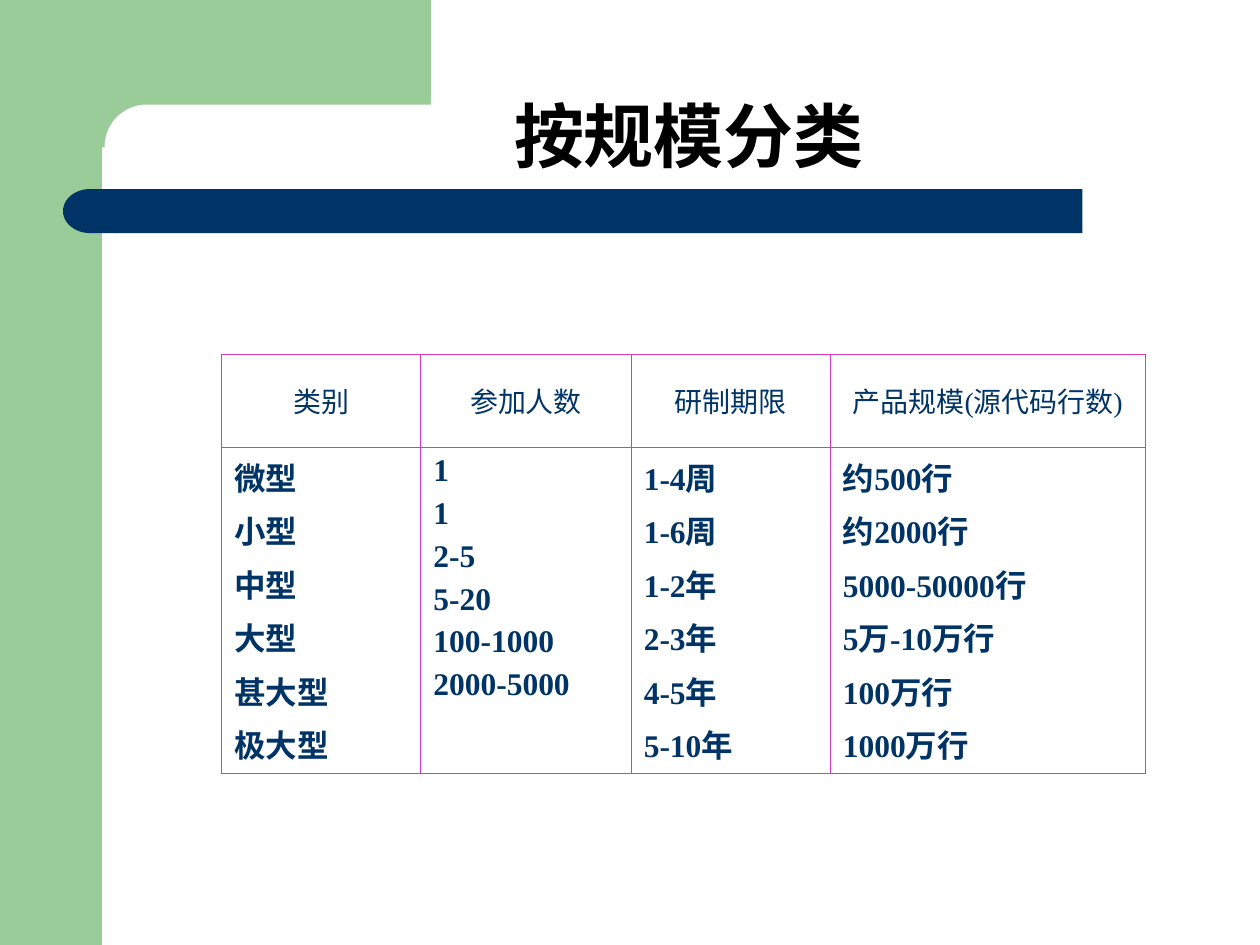
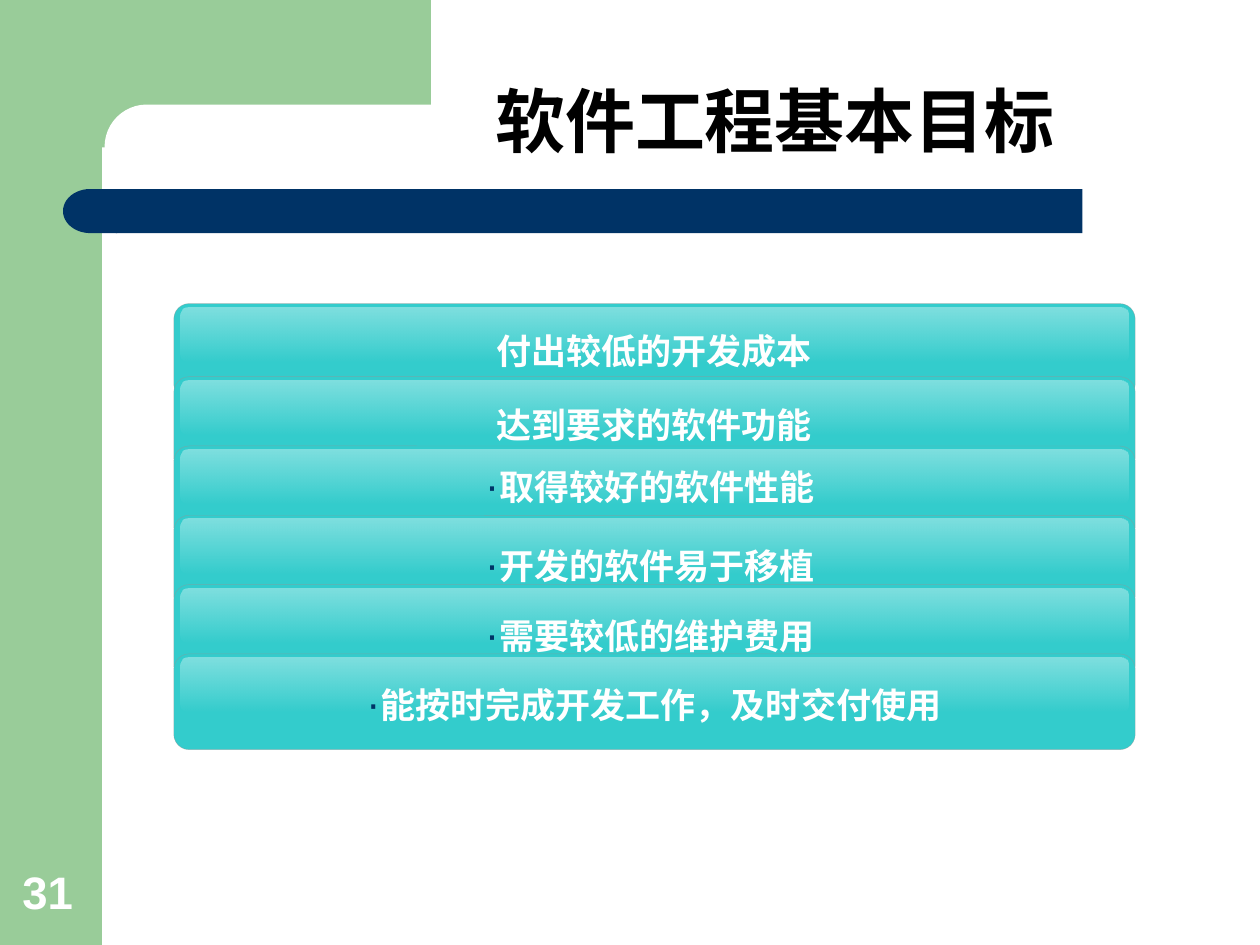
from lxml.etree import SubElement
from pptx import Presentation
from pptx.dml.color import RGBColor
from pptx.enum.shapes import MSO_SHAPE as Shape
from pptx.enum.text import MSO_ANCHOR as Anchor, PP_ALIGN as Align
from pptx.oxml.ns import qn
from pptx.util import Inches, Pt

COLORS = {
    "band": "99CC99", "navy": "003366", "white": "FFFFFF", "black": "000000",
    "pill": "33CCCC", "outline": "969696", "grid": "D539C6",
}
TITLE_FONT, BODY_FONT, TABLE_FONT = "Noto Sans Mono", "Arial", "Times New Roman"

HEADERS = ["类别", "参加人数", "研制期限", "产品规模(源代码行数)"]
CATEGORY_COLUMNS = [
    ["微型", "小型", "中型", "大型", "甚大型", "极大型"],
    ["1", "1", "2-5", "5-20", "100-1000", "2000-5000"],
    ["1-4周", "1-6周", "1-2年", "2-3年", "4-5年", "5-10年"],
    ["约500行", "约2000行", "5000-50000行", "5万-10万行", "100万行", "1000万行"],
]
COLUMN_WIDTHS = [1.58, 1.67, 1.58, 2.5]
ROW_HEIGHTS = [0.5, 2.33]

GOALS = [
    ("", "付出较低的开发成本", 0.04),
    ("", "达到要求的软件功能", 0.05),
    ("·", "取得较好的软件性能 ", -0.03),
    ("·", "开发的软件易于移植 ", 0.05),
    ("·", "需要较低的维护费用 ", 0.05),
    ("·", "能按时完成开发工作，及时交付使用", 0.05),
]


def rgb(name):
    """Return the named colour."""
    return RGBColor.from_string(COLORS[name])


def inches(*lengths):
    """Convert numbers to lengths in inches."""
    return [Inches(length) for length in lengths]


def write(paragraph, text, size=20, font=BODY_FONT, color="white", bold=False,
          align=None, before=None, spacing=None):
    """Add a formatted run to a paragraph."""
    run = paragraph.add_run()
    run.text = text
    run.font.size, run.font.name, run.font.bold = Pt(size), font, bold
    run.font.color.rgb = rgb(color)
    if align is not None:
        paragraph.alignment = align
    if before is not None:
        paragraph.space_before = Pt(before)
    if spacing is not None:
        paragraph.line_spacing = spacing


def add_block(slide, kind, box, color, corner=None):
    """Add a flat preset shape without an outline."""
    block = slide.shapes.add_shape(kind, *inches(*box))
    block.shadow.inherit = False
    block.fill.solid()
    block.fill.fore_color.rgb = rgb(color)
    block.line.fill.background()
    if corner is not None:
        block.adjustments[0] = corner
    return block


def add_label(slide, box, anchor):
    """Add an empty wrapping text box and return its first paragraph."""
    frame = slide.shapes.add_textbox(*inches(*box)).text_frame
    frame.word_wrap = True
    frame.vertical_anchor = anchor
    return frame.paragraphs[0]


def set_alpha(color_element, percent):
    """Set the opacity of a colour element."""
    for old in color_element.findall(qn("a:alpha")):
        color_element.remove(old)
    SubElement(color_element, qn("a:alpha"), val=str(percent * 1000))


def add_titled_slide(deck, text, box, anchor):
    """Add a slide with the shared bands and its title above them."""
    slide = deck.slides.add_slide(deck.slide_layouts[5])
    add_block(slide, Shape.RECTANGLE, (0, 0, 0.81, 7.5), "band")
    add_block(slide, Shape.RECTANGLE, (0.73, 0, 2.69, 1.17), "band")
    add_block(slide, Shape.ROUNDED_RECTANGLE, (0.83, 0.83, 5.58, 0.67), "white", 0.5)
    add_block(slide, Shape.RECTANGLE, (0.92, 1.5, 7.67, 0.35), "navy")
    bar_end = add_block(slide, Shape.FLOWCHART_DELAY, (0.5, 1.5, 0.43, 0.35), "navy")
    bar_end.rotation = 180

    title = slide.shapes.title
    title.left, title.top, title.width, title.height = inches(*box)
    title.text_frame.word_wrap = False
    title.text_frame.vertical_anchor = anchor
    write(title.text_frame.paragraphs[0], text, size=40, font=TITLE_FONT,
          color="black", bold=True, align=Align.LEFT, spacing=0.9)
    slide.shapes.element.append(title.element)
    return slide


def set_borders(cell):
    """Draw thin lines on the four sides of a cell."""
    properties = cell._tc.get_or_add_tcPr()
    for position, side in enumerate(("a:lnL", "a:lnR", "a:lnT", "a:lnB")):
        line = properties.makeelement(qn(side), {"w": str(Pt(0.45))})
        fill = SubElement(line, qn("a:solidFill"))
        SubElement(fill, qn("a:srgbClr"), val=COLORS["grid"])
        properties.insert(position, line)


def fill_cell(cell, lines, anchor, before, **style):
    """Write lines into an unfilled, bordered cell."""
    cell.fill.background()
    set_borders(cell)
    cell.vertical_anchor = anchor
    frame = cell.text_frame
    for index, line in enumerate(lines):
        paragraph = frame.add_paragraph() if index else frame.paragraphs[0]
        write(paragraph, line, font=TABLE_FONT, color="navy",
              before=before if index else None, **style)


def add_size_table(slide):
    """Add the table of project sizes."""
    box = inches(1.76, 2.81, sum(COLUMN_WIDTHS), sum(ROW_HEIGHTS))
    table = slide.shapes.add_table(2, len(HEADERS), *box).table
    table.first_row = table.horz_banding = False
    for row, height in zip(table.rows, ROW_HEIGHTS):
        row.height = Inches(height)
    for index, (header, values) in enumerate(zip(HEADERS, CATEGORY_COLUMNS)):
        table.columns[index].width = Inches(COLUMN_WIDTHS[index])
        fill_cell(table.cell(0, index), [header], Anchor.MIDDLE, None,
                  size=16, align=Align.CENTER)
        fill_cell(table.cell(1, index), values, Anchor.TOP, 4.5, size=18, bold=True)


def add_goal(slide, top, bullet, goal, text_offset):
    """Add a glossy pill with a goal written on it."""
    pill = add_block(slide, Shape.ROUNDED_RECTANGLE, (1.38, top, 7.63, 0.76), "pill", 0.16)
    pill.line.color.rgb = rgb("outline")
    pill.line.width = Pt(0.25)
    set_alpha(pill.line._ln.find(".//" + qn("a:srgbClr")), 57)

    gloss = add_block(slide, Shape.ROUNDED_RECTANGLE,
                      (1.43, top + 0.03, 7.53, 0.43), "white", 0.14)
    gloss.fill.gradient()
    gloss.fill.gradient_angle = 270
    for stop, position, opacity in zip(gloss.fill.gradient_stops, (0, 1), (38, 0)):
        stop.color.rgb = rgb("white")
        stop.position = position
        set_alpha(stop._gs.find(qn("a:srgbClr")), opacity)

    paragraph = add_label(slide, (1.38, top + text_offset, 7.62, 0.66), Anchor.MIDDLE)
    if bullet:
        write(paragraph, bullet, size=24, color="navy")
    write(paragraph, goal, bold=True, align=Align.CENTER)


def main():
    """Build and save both slides."""
    deck = Presentation()
    deck.slide_width, deck.slide_height = inches(10, 7.5)

    sizes = add_titled_slide(deck, "按规模分类", (3.98, 0.76, 3.07, 0.7), Anchor.TOP)
    add_size_table(sizes)

    goals = add_titled_slide(deck, "软件工程基本目标", (3.83, 0.42, 5.92, 0.92), Anchor.BOTTOM)
    page_number = add_label(goals, (0.08, 6.8, 0.64, 0.54), Anchor.BOTTOM)
    write(page_number, "31", size=26, bold=True)
    for index, goal in enumerate(GOALS):
        top = 2.44 + 0.55 * index if index else 2.41
        add_goal(goals, top, *goal)

    deck.save("out.pptx")


if __name__ == "__main__":
    main()
